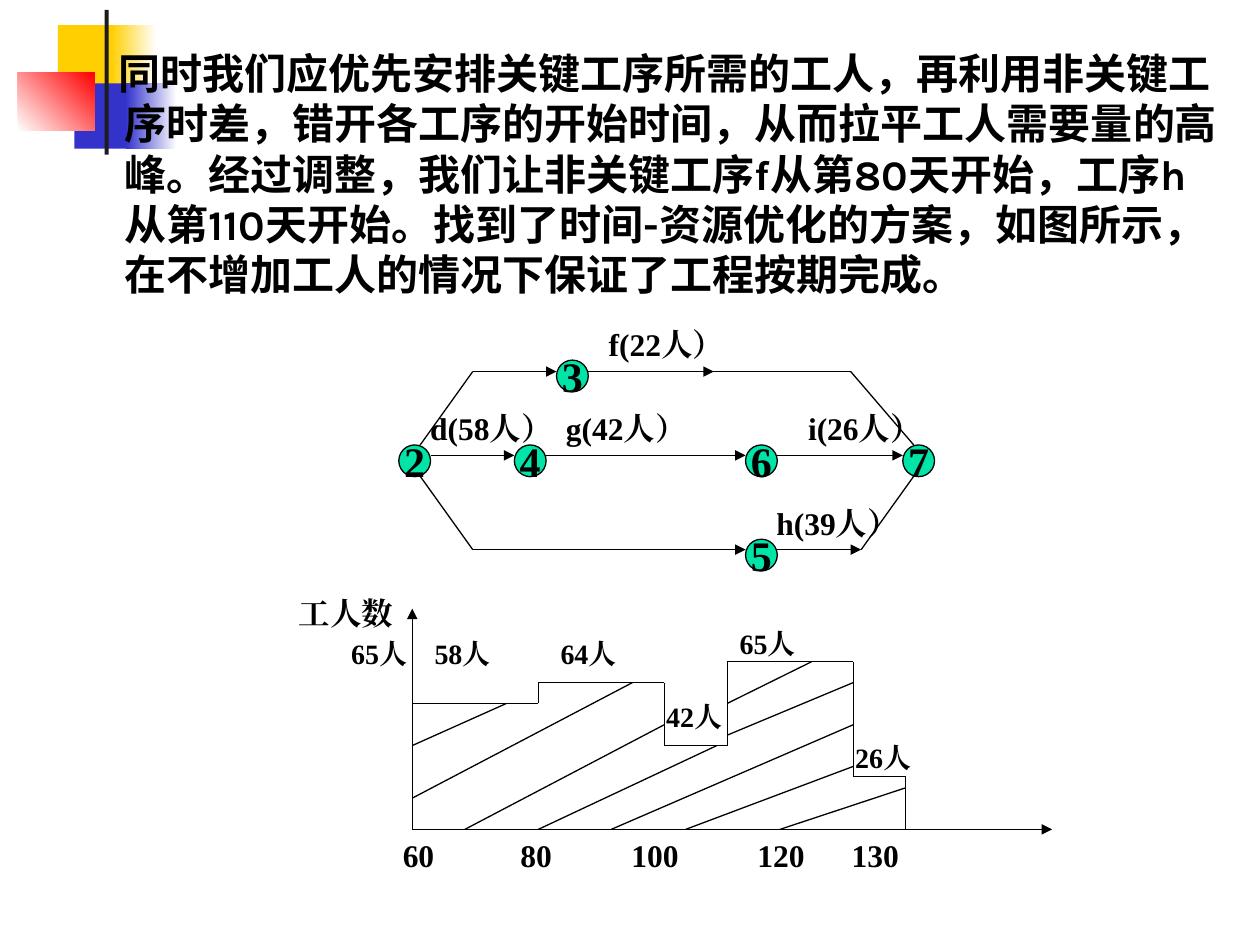
from dataclasses import dataclass

from lxml import etree
from pptx import Presentation, util as u
from pptx.dml.color import RGBColor
from pptx.enum import shapes, text
from pptx.oxml import ns


@dataclass(frozen=True)
class Theme:
    black: str = "000000"
    white: str = "FFFFFF"
    yellow: str = "FFCF01"
    blue: str = "3333CC"
    red: str = "FF0000"
    bar: str = "1C1C1C"
    node: str = "00E4A8"
    body_font: str = "Karla"
    figure_font: str = "Times New Roman"
    body_size: float = 24
    body_line: float = 28.7
    node_size: float = 24
    label_size: float = 18
    count_size: float = 16
    line_width: float = 0.75


THEME = Theme()

BODY = (
    "同时我们应优先安排关键工序所需的工人，再利用非关键工序时差，错开各工序的开始时间，"
    "从而拉平工人需要量的高峰。经过调整，我们让非关键工序f从第80天开始，工序h从第110天开始。"
    "找到了时间-资源优化的方案，如图所示，在不增加工人的情况下保证了工程按期完成。"
)

TOP, MIDDLE, LOW = 7.49, 9.18, 11.08
NODE_SIZE = 0.64
NODES = [
    ("2", 8.04, 8.97), ("4", 10.37, 8.97), ("6", 15.03, 8.97),
    ("7", 18.2, 8.97), ("5", 15.03, 10.87), ("3", 11.22, 7.26),
]
ARROWS = [
    (8.68, 10.37, MIDDLE), (11.01, 15.03, MIDDLE), (15.67, 18.2, MIDDLE),
    (9.53, 15.03, LOW), (15.67, 17.36, LOW),
    (9.53, 11.22, TOP), (12.91, 14.39, TOP),
]
LINKS = [
    (17.36, LOW, 18.42, 9.6), (8.47, 9.6, 9.53, LOW),
    (17.15, TOP, 18.42, 8.97), (8.47, 8.97, 9.53, TOP),
    (11.86, TOP, 17.15, TOP),
]
TASKS = [
    ("f(22人）", 12.02, 6.43), ("h(39人）", 15.4, 10.03),
    ("d(58人）", 8.42, 8.13), ("i(26人）", 16.04, 8.13), ("g(42人）", 11.16, 8.13),
]

ORIGIN, BASE = 8.31, 16.72
STEPS = [
    (10.85, 14.18), (13.39, 13.76), (14.66, 15.03), (17.2, 13.34), (18.26, 15.66),
]
HATCHING = [
    (8.31, 15.03, 10.21, 14.18), (8.31, 16.09, 12.75, 13.76),
    (9.37, BASE, 13.39, 14.61), (10.85, BASE, 14.45, 15.03),
    (12.32, BASE, 17.2, 14.61), (14.66, 14.82, 17.2, 13.76),
    (13.82, BASE, 17.2, 15.45), (15.72, BASE, 18.26, 15.88),
    (14.66, 14.18, 16.36, 13.34),
]
COUNTS = [
    ("65人", 6.83, 12.7), ("58人", 8.51, 12.7), ("64人", 11.05, 12.7),
    ("42人", 13.18, 13.97), ("65人", 14.66, 12.5), ("26人", 16.99, 14.81),
]
DAYS = ["60", "80", "100", "120", "130"]
DAY_TABS = [2.37, 4.61, 7.15, 9.05]


def color(value):
    return RGBColor.from_string(value)


def add_run(paragraph, content, font, size):
    run = paragraph.add_run()
    run.text = content
    run.font.name = font
    run.font.size = u.Pt(size)
    run.font.bold = True
    run.font.color.rgb = color(THEME.black)
    east_asian = etree.SubElement(run._r.get_or_add_rPr(), ns.qn("a:ea"))
    east_asian.set("typeface", font)


def add_text(slide, content, left, top, width, height, size, font=THEME.figure_font):
    shape = slide.shapes.add_textbox(u.Cm(left), u.Cm(top), u.Cm(width), u.Cm(height))
    shape.text_frame.word_wrap = True
    paragraph = shape.text_frame.paragraphs[0]
    add_run(paragraph, content, font, size)
    return paragraph


def add_block(slide, left, top, width, height, start, end=None, angle=0):
    shape = slide.shapes.add_shape(
        shapes.MSO_SHAPE.RECTANGLE, u.Cm(left), u.Cm(top), u.Cm(width), u.Cm(height))
    shape.shadow.inherit = False
    shape.line.fill.background()
    if end is None:
        shape.fill.solid()
        shape.fill.fore_color.rgb = color(start)
    else:
        shape.fill.gradient()
        shape.fill.gradient_angle = angle
        for stop, value in zip(shape.fill.gradient_stops, (start, end)):
            stop.color.rgb = color(value)


def add_node(slide, number, left, top):
    shape = slide.shapes.add_shape(
        shapes.MSO_SHAPE.OVAL, u.Cm(left), u.Cm(top), u.Cm(NODE_SIZE), u.Cm(NODE_SIZE))
    shape.shadow.inherit = False
    shape.fill.solid()
    shape.fill.fore_color.rgb = color(THEME.node)
    shape.line.color.rgb = color(THEME.black)
    shape.line.width = u.Pt(THEME.line_width)
    frame = shape.text_frame
    frame.word_wrap = False
    frame.vertical_anchor = text.MSO_ANCHOR.MIDDLE
    paragraph = frame.paragraphs[0]
    paragraph.alignment = text.PP_ALIGN.CENTER
    add_run(paragraph, number, THEME.figure_font, THEME.node_size)


def add_line(slide, x1, y1, x2, y2, arrow=False):
    connector = slide.shapes.add_connector(
        shapes.MSO_CONNECTOR.STRAIGHT, u.Cm(x1), u.Cm(y1), u.Cm(x2), u.Cm(y2))
    connector.line.color.rgb = color(THEME.black)
    connector.line.width = u.Pt(THEME.line_width)
    properties = connector._element.spPr
    if arrow:
        tail = etree.SubElement(properties.find(ns.qn("a:ln")), ns.qn("a:tailEnd"))
        tail.set("type", "triangle")
    etree.SubElement(properties, ns.qn("a:effectLst"))


def add_decoration(slide):
    add_block(slide, 1.17, 0.51, 1.22, 1.32, THEME.yellow)
    add_block(slide, 2.24, 0.51, 0.91, 1.32, THEME.yellow, THEME.white)
    add_block(slide, 1.5, 1.68, 1.17, 1.32, THEME.blue)
    add_block(slide, 2.54, 1.68, 1.02, 1.32, THEME.blue, THEME.white)
    add_block(slide, 0.36, 1.47, 1.55, 1.17, THEME.white, THEME.red, 45)
    add_block(slide, 2.11, 0.2, 0.08, 2.92, THEME.bar)


def add_body(slide):
    paragraph = add_text(
        slide, BODY, 1.3, 0.84, 23.57, 11.43, THEME.body_size, THEME.body_font)
    paragraph.line_spacing = u.Pt(THEME.body_line)
    properties = paragraph._p.get_or_add_pPr()
    properties.set("marL", str(u.Cm(0.97)))
    properties.set("indent", str(u.Cm(-0.13)))


def add_network(slide):
    for start, end, y in ARROWS:
        add_line(slide, start, y, end, y, arrow=True)
    for link in LINKS:
        add_line(slide, *link)
    for node in NODES:
        add_node(slide, *node)
    for name, left, top in TASKS:
        add_text(slide, name, left, top, 3.45, 1.02, THEME.label_size)


def add_worker_chart(slide):
    add_line(slide, ORIGIN, BASE, ORIGIN, 12.27, arrow=True)
    add_line(slide, ORIGIN, BASE, 21.21, BASE, arrow=True)
    left = ORIGIN
    next_tops = [top for _, top in STEPS[1:]] + [BASE]
    for (right, top), next_top in zip(STEPS, next_tops):
        add_line(slide, left, top, right, top)
        add_line(slide, right, top, right, next_top)
        left = right
    for hatch in HATCHING:
        add_line(slide, *hatch)
    add_text(slide, "工人数", 5.77, 11.86, 3.38, 1.02, THEME.label_size)
    for count, x, y in COUNTS:
        add_text(slide, count, x, y, 2.34, 0.94, THEME.count_size)
    days = add_text(slide, "\t".join(DAYS), 7.87, BASE, 13.54, 1.02, THEME.label_size)
    tabs = etree.SubElement(days._p.get_or_add_pPr(), ns.qn("a:tabLst"))
    for position in DAY_TABS:
        etree.SubElement(tabs, ns.qn("a:tab"), pos=str(u.Cm(position)), algn="l")


def main():
    presentation = Presentation()
    presentation.slide_width = u.Cm(25.4)
    presentation.slide_height = u.Cm(19.05)
    slide = presentation.slides.add_slide(presentation.slide_layouts[6])
    add_decoration(slide)
    add_body(slide)
    add_network(slide)
    add_worker_chart(slide)
    presentation.save("out.pptx")


if __name__ == "__main__":
    main()
